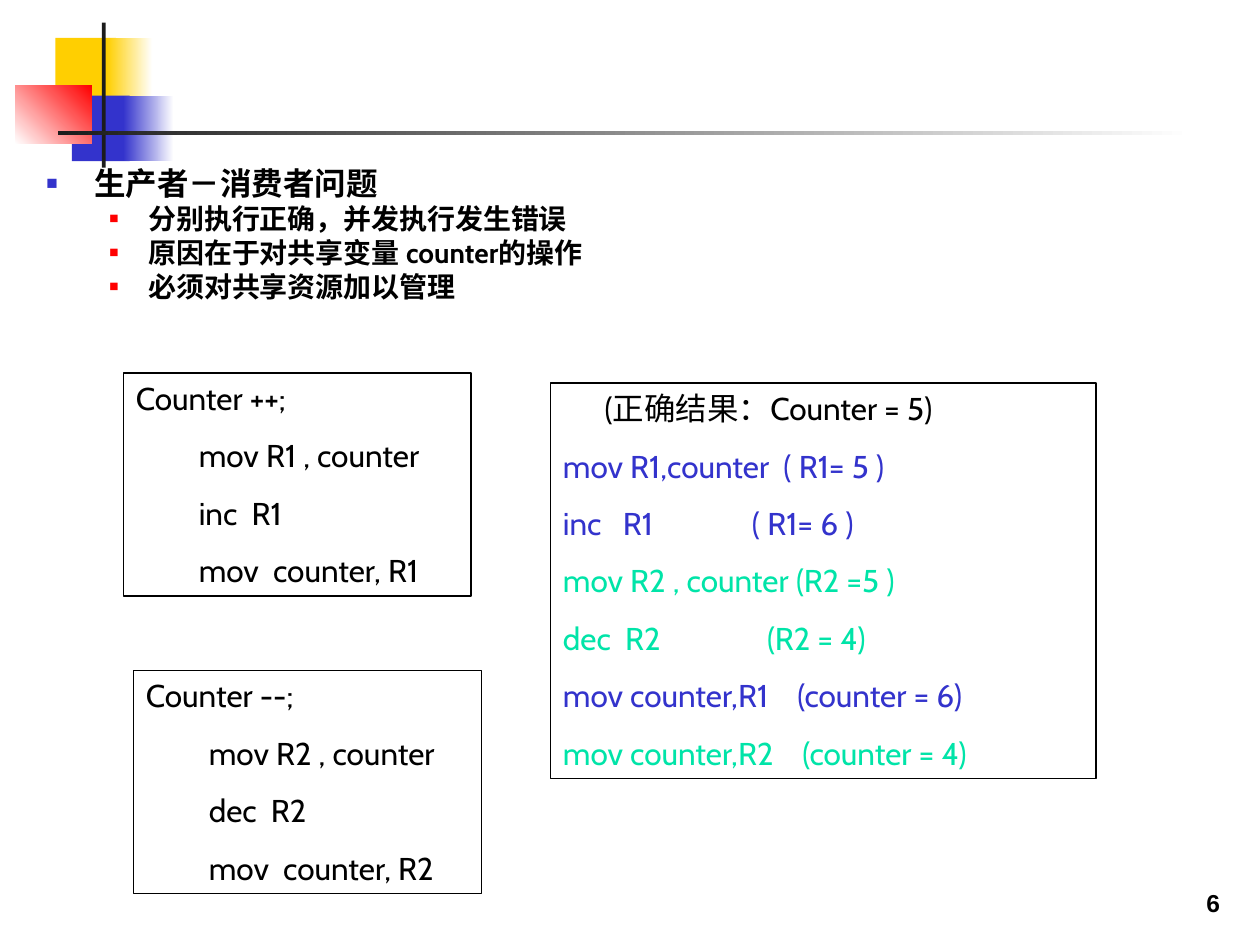
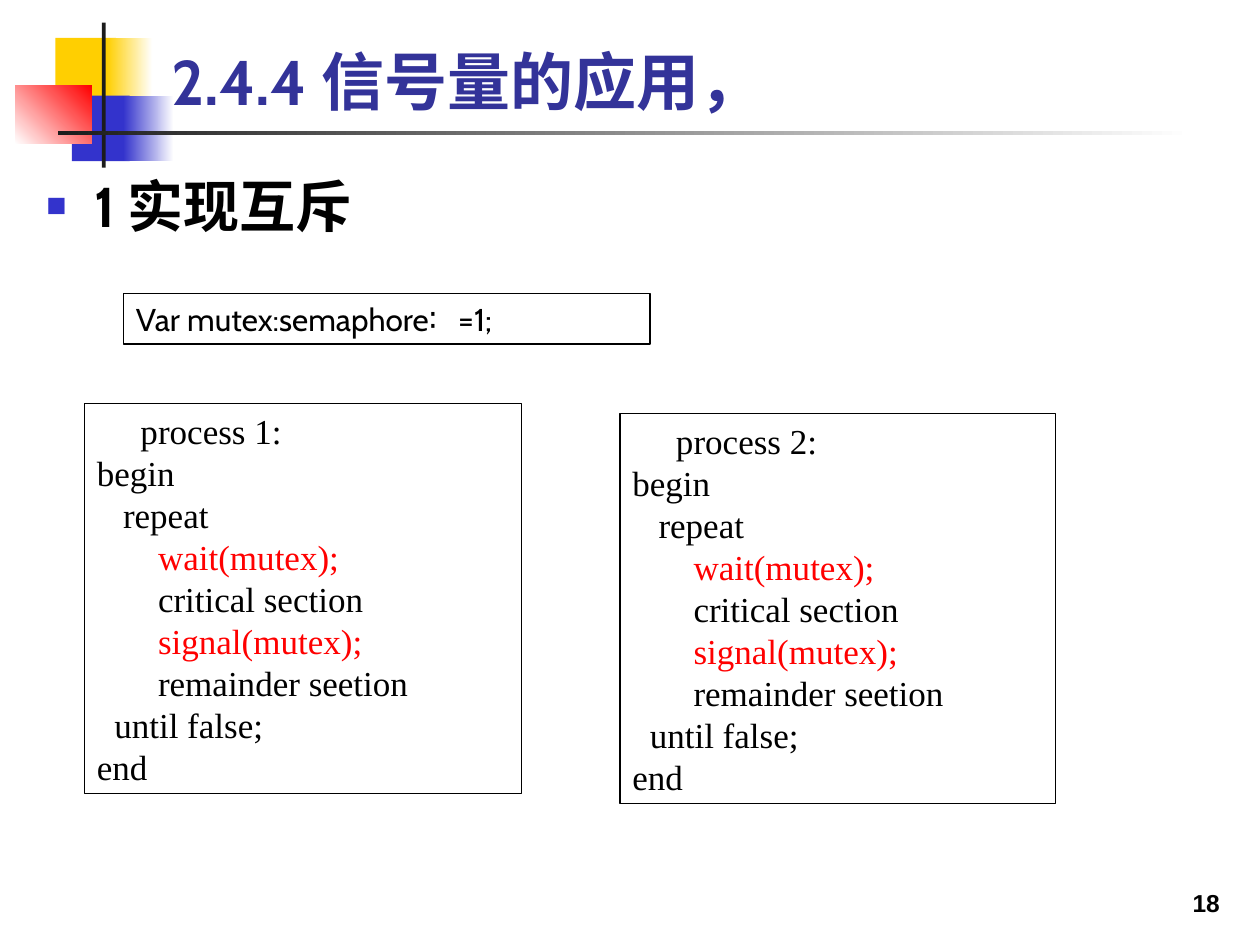
"""Build two slides on concurrent processes and semaphores."""
import dataclasses

import lxml.etree
import pptx
import pptx.dml.color
import pptx.enum.shapes
import pptx.enum.text
import pptx.oxml.ns
import pptx.util

Inches = pptx.util.Inches
Pt = pptx.util.Pt
Align = pptx.enum.text.PP_ALIGN
Anchor = pptx.enum.text.MSO_ANCHOR


@dataclasses.dataclass(frozen=True)
class Theme:
    black: str = "000000"
    white: str = "FFFFFF"
    gold: str = "FFCF01"
    blue: str = "3333CC"
    navy: str = "333399"
    red: str = "FF0000"
    green: str = "00E4A8"
    dark: str = "1C1C1C"
    sans: str = "Cabin"
    serif: str = "Times New Roman"
    plain: str = "Arial"
    title: int = 36
    head: int = 32
    code: int = 18
    list: int = 20
    point: int = 16
    foot: int = 14
    rule: float = 0.75


def color(code):
    return pptx.dml.color.RGBColor.from_string(code)


def add_mark(props, tag, **values):
    return lxml.etree.SubElement(props, pptx.oxml.ns.qn(tag), **values)


class Deck:
    def __init__(self, theme):
        self.theme = theme
        self.show = pptx.Presentation()
        self.show.slide_width = Inches(10)
        self.show.slide_height = Inches(7.5)
        self.slide = None

    def start(self, number):
        t = self.theme
        self.slide = self.show.slides.add_slide(self.show.slide_layouts[6])
        self.block((0.44, 0.3, 0.48, 0.52), t.gold)
        self.block((0.85, 0.3, 0.36, 0.52), t.gold, t.white)
        self.block((0.57, 0.76, 0.46, 0.52), t.blue)
        self.block((0.98, 0.76, 0.4, 0.52), t.blue, t.white)
        self.block((0.12, 0.68, 0.61, 0.46), t.white, t.red, 45)
        self.block((0.81, 0.18, 0.03, 1.15), t.dark)
        self.block((0.46, 1.04, 9, 0.03), t.dark, t.white)
        frame = self.text((7.7, 6.83, 2.08, 0.5), Anchor.BOTTOM)
        para = self.line(frame, str(number), t.foot, t.black, t.plain, True)
        para.alignment = Align.RIGHT

    def rect(self, place):
        shape = self.slide.shapes.add_shape(
            pptx.enum.shapes.MSO_SHAPE.RECTANGLE, *map(Inches, place))
        shape.shadow.inherit = False
        return shape

    def block(self, place, first, last=None, angle=0):
        shape = self.rect(place)
        shape.line.fill.background()
        if last is None:
            shape.fill.solid()
            shape.fill.fore_color.rgb = color(first)
            return
        shape.fill.gradient()
        shape.fill.gradient_angle = angle
        for stop, code in zip(shape.fill.gradient_stops, (first, last)):
            stop.color.rgb = color(code)

    def text(self, place, anchor=Anchor.TOP):
        frame = self.slide.shapes.add_textbox(*map(Inches, place)).text_frame
        frame.word_wrap = True
        frame.vertical_anchor = anchor
        return frame

    def line(self, frame, words, size, tint, font, bold=False, before=0):
        para = frame.paragraphs[0]
        if para.runs:
            para = frame.add_paragraph()
            para.space_before = Pt(before)
        para.text = words
        para.alignment = Align.LEFT
        for run in para.runs:
            run.font.size = Pt(size)
            run.font.name = font
            run.font.bold = bold
            run.font.color.rgb = color(tint)
        return para

    def indent(self, para, left, first=0):
        props = para._p.get_or_add_pPr()
        props.set("marL", str(Inches(left)))
        props.set("indent", str(Inches(first)))
        return props

    def title(self, words):
        t = self.theme
        frame = self.text((1.26, 0.23, 8.52, 0.76), Anchor.BOTTOM)
        self.line(frame, words, t.title, t.navy, t.sans, True)

    def body(self, height, items, space=1.0):
        t = self.theme
        frame = self.text((0.27, 1.31, 9.53, height))
        for words, size, level in items:
            para = self.line(frame, words, size, t.black, t.sans, True, 4)
            para.line_spacing = space
            para.level = level
            left, first, tint, scale = (
                (0.81, -0.31, t.red, 55) if level
                else (0.38, -0.38, t.blue, 60))
            props = self.indent(para, left, first)
            add_mark(add_mark(props, "a:buClr"), "a:srgbClr", val=tint)
            add_mark(props, "a:buSzPct", val=str(scale * 1000))
            add_mark(props, "a:buFont", typeface=t.plain)
            add_mark(props, "a:buChar", char="■")

    def frame(self, place):
        shape = self.rect(place)
        shape.fill.background()
        shape.line.color.rgb = color(self.theme.black)
        shape.line.width = Pt(self.theme.rule)
        frame = shape.text_frame
        frame.word_wrap = True
        frame.vertical_anchor = Anchor.TOP
        return frame

    def code(self, place, head, steps=()):
        t = self.theme
        frame = self.frame(place)
        self.line(frame, head, t.code, t.black, t.sans)
        for step in steps:
            para = self.line(frame, step, t.code, t.black, t.sans, before=11.2)
            self.indent(para, 0.5)

    def trace(self, place, head, steps):
        t = self.theme
        frame = self.frame(place)
        self.indent(self.line(frame, head, t.code, t.black, t.sans), 0.33)
        for step, note, stop, tint in steps:
            para = self.line(frame, f"{step}\t{note}", t.code, tint, t.sans,
                             before=11.2)
            tabs = add_mark(para._p.get_or_add_pPr(), "a:tabLst")
            add_mark(tabs, "a:tab", pos=str(Inches(stop)), algn="l")

    def process(self, place, number):
        t = self.theme
        frame = self.frame(place)
        for words in (f"     process {number}:", "begin", "   repeat",
                      "       wait(mutex);", "       critical section",
                      "       signal(mutex);", "       remainder seetion",
                      "  until false;", "end"):
            tint = t.red if "(mutex)" in words else t.black
            self.line(frame, words, t.list, tint, t.serif)


def main():
    t = Theme()
    deck = Deck(t)

    deck.start(6)
    deck.body(1.26, [
        ("生产者－消费者问题", t.code, 0),
        ("分别执行正确，并发执行发生错误", t.point, 1),
        ("原因在于对共享变量 counter的操作", t.point, 1),
        ("必须对共享资源加以管理", t.point, 1),
    ], 0.8)
    deck.code((0.98, 2.96, 2.76, 1.77), "Counter ++;",
              ("mov R1 , counter", "inc  R1", "mov  counter, R1"))
    deck.code((1.06, 5.32, 2.76, 1.77), "Counter --;",
              ("mov R2 , counter", "dec  R2", "mov  counter, R2"))
    deck.trace((4.37, 3.04, 4.33, 3.14), "(正确结果：Counter = 5)", [
        ("mov R1,counter", "( R1= 5 )", 1.75, t.blue),
        ("inc   R1", "( R1= 6 )", 1.5, t.blue),
        ("mov R2 , counter", "(R2 =5 )", 1.85, t.green),
        ("dec  R2", "(R2 = 4)", 1.62, t.green),
        ("mov counter,R1", "(counter = 6)", 1.86, t.blue),
        ("mov counter,R2", "(counter = 4)", 1.9, t.green),
    ])

    deck.start(18)
    deck.title("2.4.4 信号量的应用，")
    deck.body(5.35, [("1 实现互斥", t.head, 0)])
    deck.process((0.67, 3.2, 3.47, 3.1), 1)
    deck.code((0.98, 2.33, 4.18, 0.4), "Var mutex:semaphore∶   =1;")
    deck.process((4.92, 3.28, 3.46, 3.1), 2)

    deck.show.save("out.pptx")


if __name__ == "__main__":
    main()
